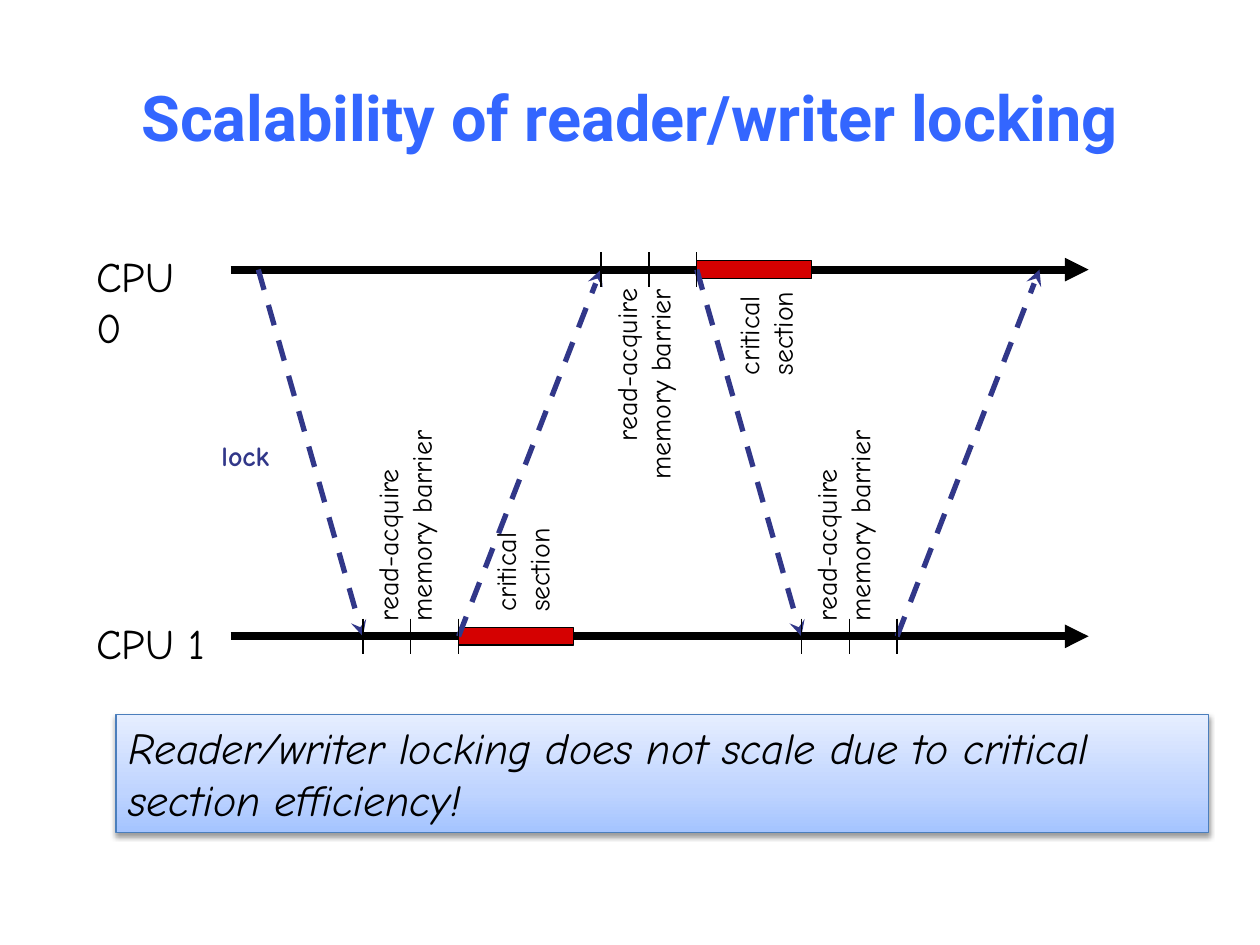
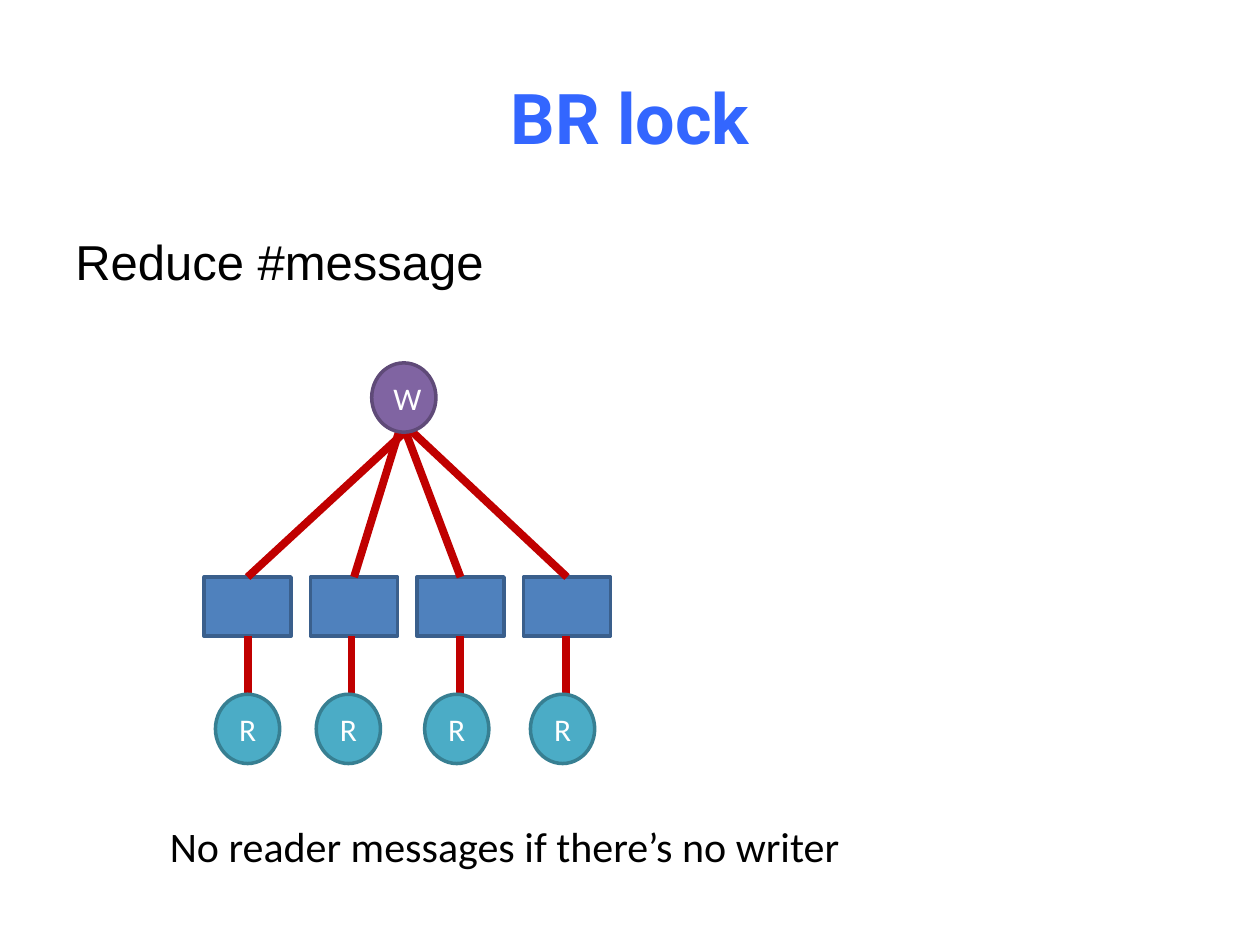
from lxml import etree
from pptx import Presentation
from pptx.dml.color import RGBColor
from pptx.enum.dml import MSO_LINE_DASH_STYLE as Dash
from pptx.enum.shapes import MSO_CONNECTOR as Connector, MSO_SHAPE as Preset
from pptx.enum.text import MSO_ANCHOR as Anchor, PP_ALIGN as Align
from pptx.oxml import parse_xml
from pptx.oxml.ns import nsdecls, qn
from pptx.util import Inches, Pt

WIDTH, HEIGHT = Inches(10), Inches(7.5)
COLUMN, ROW = WIDTH / 100, HEIGHT / 75

BLACK, WHITE = "000000", "FFFFFF"
TITLE_BLUE, MESSAGE_BLUE, SECTION_RED = "3366FF", "313789", "D50101"
LINK_RED = "C00000"
WRITER, READER, LOCK = ("8064A2", "5F4A78"), ("4BACC6", "377F92"), ("4F81BD", "3A5F8C")

TITLE_FONT, HAND_FONT, PLAIN_FONT = "Roboto", "Comic Neue", "Calibri"

CPU_0_ROW, CPU_1_ROW = 21.4, 50.5
TICK_GAP = 3.8
CPU_0_BLOCK, CPU_1_BLOCKS = 47.7, (28.8, 63.6)
BARRIER = ["read-acquire", "memory barrier"]
CRITICAL = ["critical", "section"]


def color(value):
    """Turn a hex string into a colour."""
    return RGBColor.from_string(value)


def place(left, top, width, height):
    """Turn grid columns and rows into slide lengths."""
    return tuple(round(n) for n in (left * COLUMN, top * ROW, width * COLUMN, height * ROW))


def write(shape, lines, size, font, ink=BLACK, align=Align.LEFT, anchor=Anchor.TOP,
          bold=False, italic=False):
    """Fill a shape with one paragraph per line."""
    frame = shape.text_frame
    frame.word_wrap = True
    frame.vertical_anchor = anchor
    for index, line in enumerate(lines):
        paragraph = frame.add_paragraph() if index else frame.paragraphs[0]
        paragraph.alignment = align
        run = paragraph.add_run()
        run.text = line
        run.font.size, run.font.name = Pt(size), font
        run.font.bold, run.font.italic = bold, italic
        run.font.color.rgb = color(ink)


def add_text(slide, box, lines, size, font=HAND_FONT, turn=0, **style):
    """Add a text box, turned if asked."""
    shape = slide.shapes.add_textbox(*place(*box))
    shape.rotation = turn
    write(shape, lines, size, font, **style)


def add_title(slide, title, size):
    """Add the shared slide title."""
    add_text(slide, (5, 3, 90, 12.5), [title], size, TITLE_FONT, ink=TITLE_BLUE,
             align=Align.CENTER, anchor=Anchor.MIDDLE, bold=True)


def add_block(slide, preset, box, fill, outline, weight):
    """Add a flat preset shape."""
    shape = slide.shapes.add_shape(preset, *place(*box))
    shape.shadow.inherit = False
    shape.fill.solid()
    shape.fill.fore_color.rgb = color(fill)
    shape.line.color.rgb = color(outline)
    shape.line.width = Pt(weight)
    return shape


def add_line(slide, start, end, ink, weight, arrow=None, dash=None):
    """Add a straight line, with an arrowhead at its end if asked."""
    points = place(*start, *end)
    line = slide.shapes.add_connector(Connector.STRAIGHT, *points)
    line.line.color.rgb = color(ink)
    line.line.width = Pt(weight)
    if dash:
        line.line.dash_style = dash
    if arrow:
        etree.SubElement(line.line._get_or_add_ln(), qn("a:tailEnd"), type=arrow)
    etree.SubElement(line._element.spPr, qn("a:effectLst"))


def add_timeline(slide, row, name, name_width):
    """Add the time arrow of one CPU and its name."""
    add_line(slide, (18.3, row), (86.4, row), BLACK, 4.5, "triangle")
    add_text(slide, (6.65, row - 2, name_width, 5.1), [name], 24)


def add_section(slide, left, row):
    """Add a critical section to a timeline."""
    add_block(slide, Preset.RECTANGLE, (left, row - 0.7, 9.1, 1.4), SECTION_RED, BLACK, 0.75)


def add_ticks(slide, left, row):
    """Mark the two steps of a lock acquisition."""
    for step in range(3):
        tick = left + step * TICK_GAP
        add_line(slide, (tick, row - 1.4), (tick, row + 1.4), BLACK, 0.75)


def add_upright(slide, center, middle, length, lines, align=Align.LEFT):
    """Add text that reads upwards around a centre point."""
    box = (center - length / 2, middle - 3.2, length, 6.4)
    add_text(slide, box, lines, 16, turn=270, align=align)


def add_callout(slide, box, lines):
    """Add the shaded conclusion box."""
    shape = add_block(slide, Preset.RECTANGLE, box, WHITE, "4B7EBC", 0.75)
    write(shape, lines, 25, HAND_FONT, italic=True)
    stops = "".join(f'<a:gs pos="{share * 1000}"><a:srgbClr val="{value}"/></a:gs>'
                    for share, value in ((0, "A4C4FF"), (35, "BFD4FF"), (100, "E6EEFF")))
    properties = shape._element.spPr
    properties.replace(properties.find(qn("a:solidFill")), parse_xml(
        f'<a:gradFill {nsdecls("a")} rotWithShape="1"><a:gsLst>{stops}</a:gsLst>'
        '<a:lin ang="16200000" scaled="0"/></a:gradFill>'))
    properties.replace(properties.find(qn("a:effectLst")), parse_xml(
        f'<a:effectLst {nsdecls("a")}><a:outerShdw blurRad="{Pt(3.1)}" dist="{Pt(1.6)}" '
        f'dir="5400000" rotWithShape="0"><a:srgbClr val="{BLACK}"><a:alpha val="38000"/>'
        '</a:srgbClr></a:outerShdw></a:effectLst>'))


def add_node(slide, left, top, letter, colors):
    """Add a lettered circle."""
    node = add_block(slide, Preset.OVAL, (left, top, 5.1, 5.5), *colors, 2)
    write(node, [letter], 18, PLAIN_FONT, WHITE, Align.CENTER, Anchor.MIDDLE)


def build_scalability(slide):
    """Show the lock moving between two CPUs."""
    add_title(slide, "Scalability of reader/writer locking", 36)
    add_timeline(slide, CPU_0_ROW, "CPU 0", 9.5)
    add_timeline(slide, CPU_1_ROW, "CPU 1", 12)

    barrier_span = 2 * TICK_GAP
    first, second = CPU_1_BLOCKS
    add_section(slide, first + barrier_span, CPU_1_ROW)
    add_section(slide, CPU_0_BLOCK + barrier_span, CPU_0_ROW)

    for start, end in ((20.5, first), (CPU_0_BLOCK + barrier_span, second)):
        add_line(slide, (start, CPU_0_ROW), (end, CPU_1_ROW),
                 MESSAGE_BLUE, 3, "stealth", Dash.DASH)
    for start, end in ((first, CPU_0_BLOCK), (second, 82.5)):
        add_line(slide, (start + barrier_span, CPU_1_ROW), (end, CPU_0_ROW),
                 MESSAGE_BLUE, 3, "stealth", Dash.DASH)

    for left in CPU_1_BLOCKS:
        add_ticks(slide, left, CPU_1_ROW)
        add_upright(slide, left + 3.3, 41.1, 18.4, BARRIER)
    add_ticks(slide, CPU_0_BLOCK, CPU_0_ROW)
    add_upright(slide, CPU_0_BLOCK + 3.35, 31.3, 18.7, BARRIER, Align.RIGHT)
    add_upright(slide, 41.45, 44.8, 9.5, CRITICAL)
    add_upright(slide, 60.75, 26, 9.5, CRITICAL)
    add_text(slide, (16.6, 34.3, 8, 3.7), ["lock"], 16, ink=MESSAGE_BLUE, bold=True)

    add_callout(slide, (9.2, 56.7, 86.7, 9.4),
                ["Reader/writer locking does not scale due to critical", "section efficiency!"])


def build_br_lock(slide):
    """Show one writer holding a lock for each reader."""
    add_title(slide, "BR lock", 40)
    add_text(slide, (5, 17.9, 90, 6), ["Reduce #message"], 28, "Arial")

    lock_left, lock_top, lock_width, lock_height, pitch = 16.2, 45.8, 6.9, 4.7, 8.45
    lock_bottom = lock_top + lock_height
    locks = [lock_left + index * pitch for index in range(4)]
    for left, reader in zip(locks, (17.1, 25.1, 33.7, 42.1)):
        center = left + lock_width / 2
        stub = min(center, reader + 2.8)
        add_block(slide, Preset.RECTANGLE, (left, lock_top, lock_width, lock_height), *LOCK, 2)
        add_line(slide, (stub, 55.6), (stub, lock_bottom), LINK_RED, 4.5)
        add_node(slide, reader, 55.1, "R", READER)
    for left in locks:
        end = (32, 34.4) if left == lock_left else (31.9, 33.5)
        add_line(slide, (left + lock_width / 2, lock_top), end, LINK_RED, 4.5)
    add_node(slide, 29.5, 28.8, "W", WRITER)

    add_text(slide, (12.5, 64.6, 62, 5), ["No reader messages if there’s no writer"], 24, PLAIN_FONT)


def main():
    """Build and save both slides."""
    presentation = Presentation()
    presentation.slide_width, presentation.slide_height = WIDTH, HEIGHT
    blank = presentation.slide_layouts[6]
    for build in (build_scalability, build_br_lock):
        build(presentation.slides.add_slide(blank))
    presentation.save("out.pptx")


if __name__ == "__main__":
    main()
